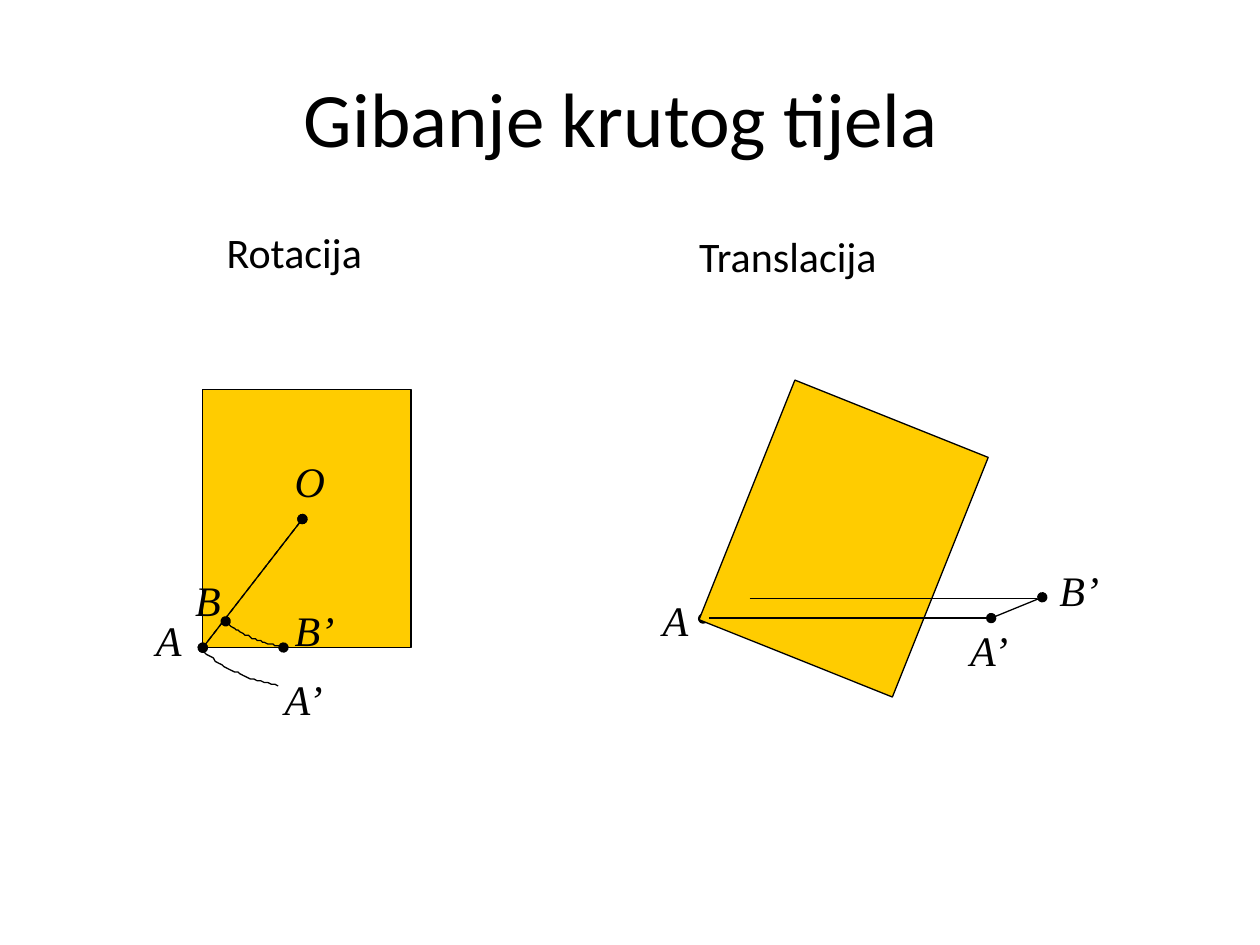
import pptx
import pptx.util
import pptx.dml.color
import pptx.enum.dml
import pptx.enum.shapes
import pptx.enum.text
import pptx.oxml

Pt = pptx.util.Pt
COLORS = {"ink": "000000", "body": "FFCC00"}


def rgb(name):
    """Return the named colour."""
    return pptx.dml.color.RGBColor.from_string(COLORS[name])


def write(frame, text, font="Calibri", size=24, italic=False, align=None):
    """Put one formatted paragraph into a text frame."""
    paragraph = frame.paragraphs[0]
    paragraph.alignment = align
    run = paragraph.add_run()
    run.text = text
    run.font.name = font
    run.font.size = Pt(size)
    run.font.italic = italic
    run.font.color.rgb = rgb("ink")


def bezier(start, first, second, end, steps=24):
    """Return points along a cubic curve."""
    points = []
    for step in range(steps + 1):
        t = step / steps
        weights = ((1 - t) ** 3, 3 * t * (1 - t) ** 2, 3 * t ** 2 * (1 - t), t ** 3)
        points.append(tuple(
            round(sum(w * v for w, v in zip(weights, axis)), 2)
            for axis in zip(start, first, second, end)))
    return points


class Diagram:
    """Draws the elements of the current slide in one style."""

    def __init__(self, slide, weight=0.75):
        self.slide = slide
        self.weight = weight

    def outline(self, line, dots=False, dashed=False):
        line.color.rgb = rgb("ink")
        line.width = Pt(self.weight)
        if dashed:
            line.dash_style = pptx.enum.dml.MSO_LINE.DASH
        if dots:
            properties = line._get_or_add_ln()
            for tag in ("headEnd", "tailEnd"):
                properties.append(pptx.oxml.parse_xml(
                    f'<a:{tag} xmlns:a="http://schemas.openxmlformats.org/'
                    'drawingml/2006/main" type="oval"/>'))

    def text(self, text, left, top, width, height=36, middle=False, wrap=False, **style):
        frame = self.slide.shapes.add_textbox(
            Pt(left), Pt(top), Pt(width), Pt(height)).text_frame
        frame.word_wrap = wrap
        anchors = pptx.enum.text.MSO_ANCHOR
        frame.vertical_anchor = anchors.MIDDLE if middle else anchors.TOP
        write(frame, text, **style)

    def point_label(self, text, left, top):
        self.text(text, left, top, 29 if len(text) == 1 else 37.5,
                  font="Times New Roman", italic=True)

    def body(self, left, top, rotation=0):
        body = self.slide.shapes.add_shape(
            pptx.enum.shapes.MSO_SHAPE.RECTANGLE, Pt(left), Pt(top), Pt(119), Pt(147.5))
        body.rotation = rotation
        body.shadow.inherit = False
        body.fill.solid()
        body.fill.fore_color.rgb = rgb("body")
        self.outline(body.line)

    def line(self, start, end, **style):
        line = self.slide.shapes.add_connector(
            pptx.enum.shapes.MSO_CONNECTOR.STRAIGHT, *(Pt(v) for v in start + end))
        line._element.spPr.append(pptx.oxml.parse_xml(
            '<a:effectLst xmlns:a="http://schemas.openxmlformats.org/drawingml/2006/main"/>'))
        self.outline(line.line, **style)

    def arc(self, *controls, dots=False):
        start, *rest = bezier(*controls)
        builder = self.slide.shapes.build_freeform(*start, scale=Pt(1))
        builder.add_line_segments(rest, close=False)
        arc = builder.convert_to_shape()
        arc.shadow.inherit = False
        arc.fill.background()
        self.outline(arc.line, dots=dots)


def main():
    """Build the slide on rotation and translation."""
    deck = pptx.Presentation()
    deck.slide_width, deck.slide_height = Pt(720), Pt(540)
    diagram = Diagram(deck.slides.add_slide(deck.slide_layouts[6]))

    diagram.text("Gibanje krutog tijela ", 36, 21.6, 648, 90, middle=True, wrap=True,
                 size=44, align=pptx.enum.text.PP_ALIGN.CENTER)
    diagram.text("Rotacija", 122.4, 126, 101.5, middle=True)

    center, corner = (172.8, 296.6), (115.9, 370.1)
    diagram.arc((159, 391.5), (142.5, 389), (127.5, 382), (115.2, 371.5))
    diagram.body(115.9, 222.5)
    diagram.line(center, corner, dots=True)
    diagram.arc((161.5, 369.5), (150, 368), (138, 363), (128.7, 355), dots=True)
    diagram.line(center, corner, dots=True, dashed=True)
    for label in (("A", 82, 347.8), ("A’", 155.5, 381.6), ("B", 104.4, 324.7),
                  ("B’", 161.3, 342), ("O", 161.3, 257)):
        diagram.point_label(*label)

    diagram.text("Translacija", 392.4, 128.2, 137.5, middle=True)
    diagram.line((429.1, 340.6), (401.8, 353.5), dots=True, dashed=True)
    diagram.body(422.6, 234, rotation=21.8)
    diagram.line((428.4, 342), (592.6, 342))
    diagram.line((405.4, 353.2), (564.5, 353.2))
    diagram.line((595.6, 341.3), (566.4, 353.2), dots=True)
    for label in (("A", 371.5, 336.2), ("A’", 547.2, 353.5), ("B’", 598.3, 319)):
        diagram.point_label(*label)

    deck.save("out.pptx")


if __name__ == "__main__":
    main()
